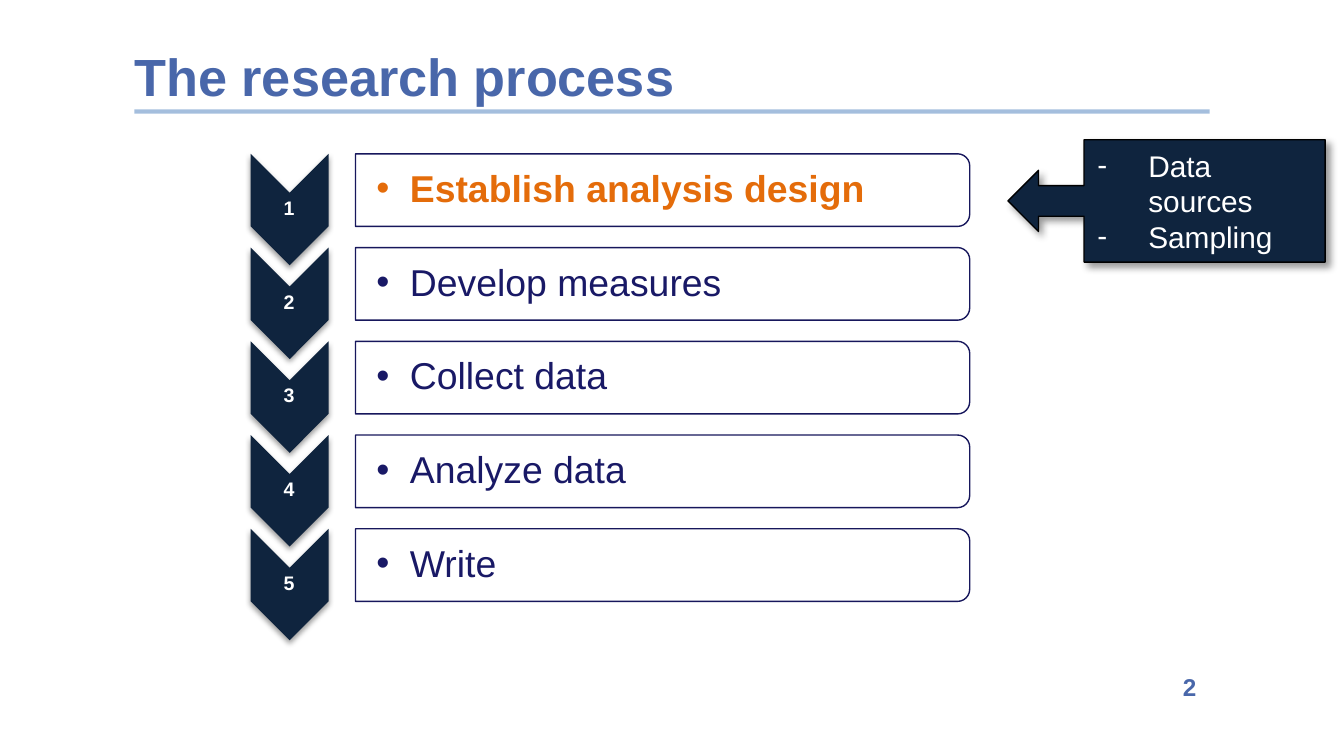
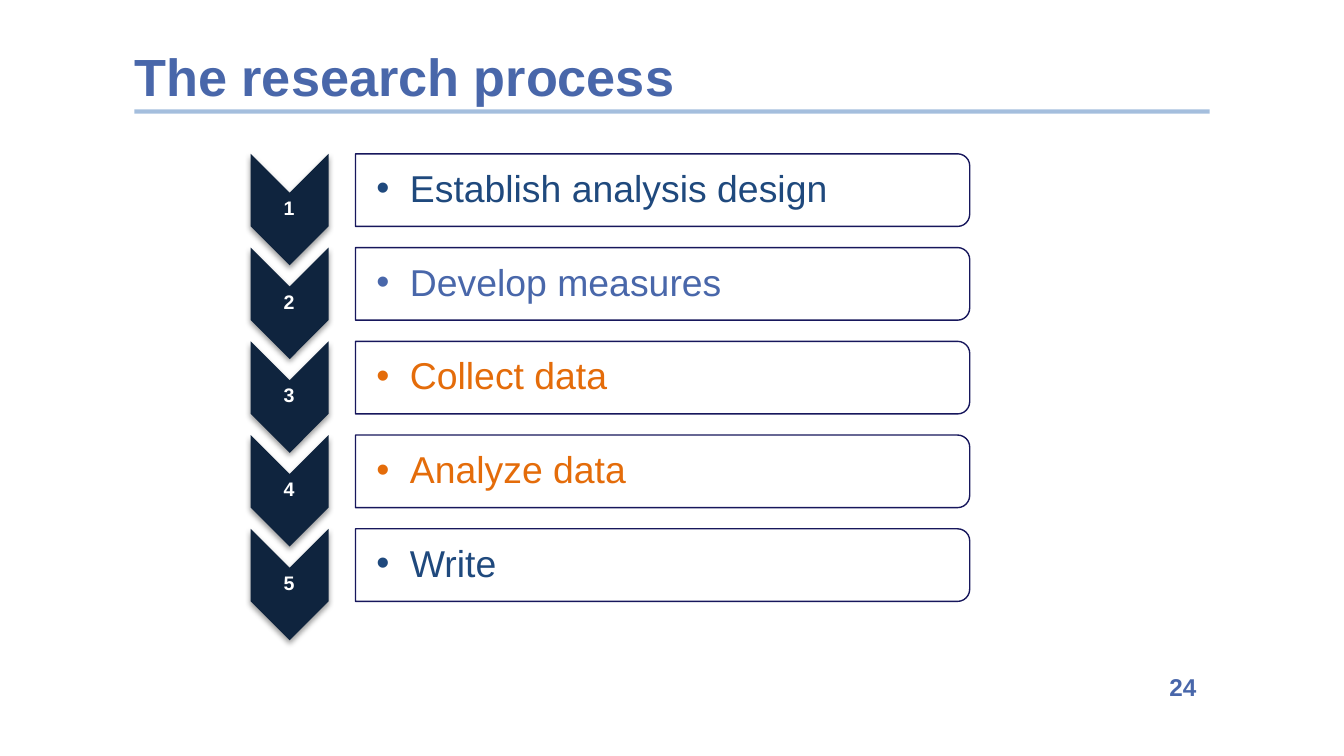
"""Build the two slides on the research process."""
from dataclasses import dataclass
from typing import Optional

from lxml.etree import SubElement as add_sub
from pptx import Presentation
from pptx.dml.color import RGBColor as Rgb
from pptx.enum.shapes import MSO_CONNECTOR as Joint, MSO_SHAPE as Form
from pptx.enum.text import MSO_ANCHOR as Anchor, PP_ALIGN as Align
from pptx.oxml.ns import qn
from pptx.util import Inches, Length, Pt


@dataclass(frozen=True)
class Theme:
    font: str = "Arial"
    blue: str = "4967AA"
    rule: str = "4B7EBC"
    dark: str = "0F243E"
    edge: str = "17175C"
    navy: str = "191966"
    steel: str = "1F497D"
    hot: str = "E46C0A"
    white: str = "FFFFFF"
    black: str = "000000"
    title: float = 28
    step: float = 20
    note: float = 16
    page: float = 13
    count: float = 10.5


@dataclass(frozen=True)
class Shade:
    alpha: int
    blur: float
    dist: float
    angle: int


@dataclass(frozen=True)
class Step:
    text: str
    color: str
    bold: bool = False


@dataclass(frozen=True)
class Page:
    number: str
    steps: tuple[Step, ...]
    notes: tuple[str, ...] = ()


THEME = Theme()
SOFT = Shade(38, 3.1, 1.6, 90)
DEEP = Shade(40, 4, 3, 45)
TITLE = "The research process"
LABELS = ("Establish analysis design", "Develop measures", "Collect data",
          "Analyze data", "Write")
FIRST = (THEME.hot,) + (THEME.navy,) * 4
LATER = (THEME.steel, THEME.blue, THEME.hot, THEME.hot, THEME.steel)
PAGES = (
    Page("2", tuple(Step(t, c, c == THEME.hot) for t, c in zip(LABELS, FIRST)),
         ("Data sources", "Sampling")),
    Page("24", tuple(Step(t, c) for t, c in zip(LABELS, LATER))),
)
WIDTH = Inches(10)
HEIGHT = WIDTH * 9 // 16
PITCH = Inches(2.79) / (len(LABELS) - 1)


def set_alpha(fill, share: int) -> None:
    tint = fill._xPr.find(qn("a:solidFill"))[0]
    add_sub(tint, qn("a:alpha"), val=str(share * 1000))


def cast(shape, shade: Shade) -> None:
    effects = shape._element.spPr.find(qn("a:effectLst"))
    outer = add_sub(effects, qn("a:outerShdw"), blurRad=str(Pt(shade.blur)),
                    dist=str(Pt(shade.dist)), dir=str(shade.angle * 60000),
                    algn="ctr", rotWithShape="0")
    tint = add_sub(outer, qn("a:srgbClr"), val=THEME.black)
    add_sub(tint, qn("a:alpha"), val=str(shade.alpha * 1000))


def add_form(slide, form: Form, box: tuple[Length, ...], fill: str, *,
             line: Optional[str] = None, turn: int = 0,
             shade: Optional[Shade] = None):
    shape = slide.shapes.add_shape(form, *box)
    shape.rotation = turn
    shape.shadow.inherit = False
    shape.fill.solid()
    shape.fill.fore_color.rgb = Rgb.from_string(fill)
    if line:
        shape.line.color.rgb = Rgb.from_string(line)
        shape.line.width = Pt(0.75)
    else:
        shape.line.fill.background()
    if shade:
        cast(shape, shade)
    return shape


def write(shape, *lines: str, size: float, color: str, bold: bool = False,
          align: Align = Align.LEFT, anchor: Anchor = Anchor.TOP,
          inset: Optional[tuple[float, ...]] = None, mark: str = "",
          hang: float = 0, level: int = 0, space: Optional[float] = None) -> None:
    frame = shape.text_frame
    frame.word_wrap = True
    frame.vertical_anchor = anchor
    if inset:
        (frame.margin_left, frame.margin_top, frame.margin_right,
         frame.margin_bottom) = map(Inches, inset)
    for i, line in enumerate(lines):
        para = frame.add_paragraph() if i else frame.paragraphs[0]
        para.alignment = align
        para.level = level
        if space:
            para.line_spacing = space
        if mark:
            props = para._p.get_or_add_pPr()
            props.set("marL", str(Inches(hang)))
            props.set("indent", str(-Inches(hang)))
            add_sub(props, qn("a:buFont"), typeface=THEME.font)
            add_sub(props, qn("a:buChar"), char=mark)
        run = para.add_run()
        run.text = line
        run.font.name = THEME.font
        run.font.size = Pt(size)
        run.font.bold = bold
        run.font.color.rgb = Rgb.from_string(color)


def add_text(slide, box: tuple[Length, ...], text: str, **style) -> None:
    write(slide.shapes.add_textbox(*box), text, **style)


def add_frame(slide, number: str) -> None:
    add_text(slide, (Inches(4.86), Inches(4.95), Inches(4.14), Inches(0.32)),
             number, size=THEME.page, color=THEME.blue, bold=True,
             align=Align.RIGHT)
    rule = slide.shapes.add_connector(Joint.STRAIGHT, Inches(1), Inches(0.83),
                                      Inches(9), Inches(0.83))
    rule.line.color.rgb = Rgb.from_string(THEME.rule)
    rule.line.width = Pt(2.25)
    set_alpha(rule.line.fill, 50)
    add_sub(rule._element.spPr, qn("a:effectLst"))
    add_text(slide, (Inches(1), Inches(0.33), Inches(7.99), Inches(0.71)),
             TITLE, size=THEME.title, color=THEME.blue, bold=True,
             inset=(0,) * 4)


def add_step(slide, index: int, step: Step) -> None:
    drop = round(index * PITCH)
    add_form(slide, Form.CHEVRON,
             (Inches(1.74), Inches(1.27) + drop, Inches(0.83), Inches(0.58)),
             THEME.dark, turn=90, shade=SOFT)
    add_text(slide,
             (Inches(1.86), Inches(1.43) + drop, Inches(0.58), Inches(0.25)),
             str(index + 1), size=THEME.count, color=THEME.white, bold=True,
             align=Align.CENTER, anchor=Anchor.MIDDLE, inset=(0.01,) * 4,
             space=0.9)
    bar = add_form(slide, Form.ROUND_2_SAME_RECTANGLE,
                   (Inches(4.66), Inches(-0.87) + drop, Inches(0.54),
                    Inches(4.57)),
                   THEME.white, line=THEME.edge, turn=90)
    set_alpha(bar.fill, 90)
    add_text(slide,
             (Inches(2.64), Inches(1.17) + drop, Inches(4.54), Inches(0.49)),
             step.text, size=THEME.step, color=step.color, bold=step.bold,
             anchor=Anchor.MIDDLE, inset=(0.16, 0.01, 0.01, 0.01), mark="•",
             hang=0.25, level=1, space=0.9)


def add_notes(slide, notes: tuple[str, ...]) -> None:
    call = add_form(slide, Form.LEFT_ARROW_CALLOUT,
                    (Inches(7.5), Inches(1.04), Inches(2.36), Inches(0.91)),
                    THEME.dark, line=THEME.black, shade=DEEP)
    for i, value in enumerate((0.25, 0.25, 0.25, 0.76)):
        call.adjustments[i] = value
    write(call, *notes, size=THEME.note, color=THEME.white,
          anchor=Anchor.MIDDLE, mark="-", hang=0.38)


def main() -> None:
    deck = Presentation()
    deck.slide_width, deck.slide_height = WIDTH, HEIGHT
    for page in PAGES:
        slide = deck.slides.add_slide(deck.slide_layouts[6])
        add_frame(slide, page.number)
        for index, step in enumerate(page.steps):
            add_step(slide, index, step)
        if page.notes:
            add_notes(slide, page.notes)
    deck.save("out.pptx")


if __name__ == "__main__":
    main()
